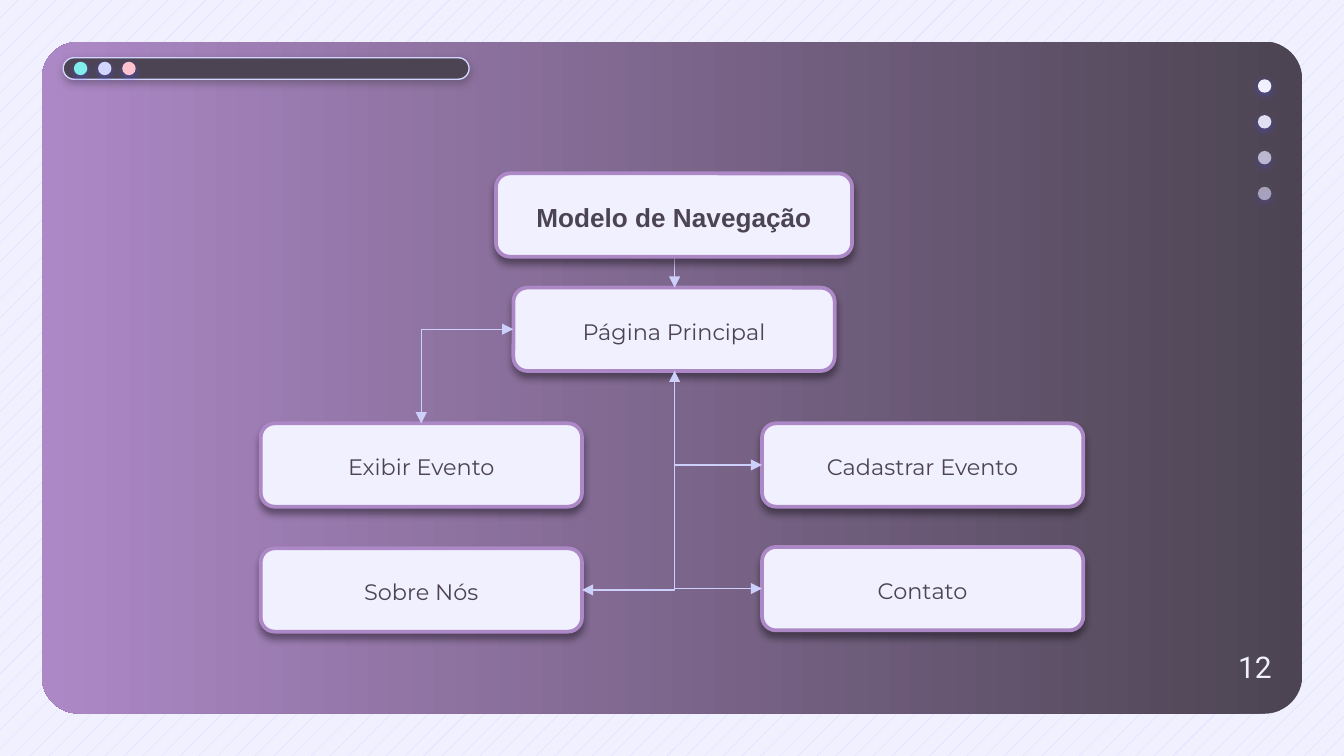
from lxml import etree
from pptx import Presentation
from pptx.dml.color import RGBColor
from pptx.enum import dml, shapes, text
from pptx.oxml import ns
from pptx.util import Inches, Pt

PURPLE = RGBColor(0xAD, 0x88, 0xC6)
DARK = RGBColor(0x4C, 0x44, 0x52)
PALE = RGBColor(0xF1, 0xF0, 0xFF)
LAVENDER = RGBColor(0xD2, 0xD6, 0xFF)
ARROW = RGBColor(0xCC, 0xD0, 0xFA)
TEAL = RGBColor(0x81, 0xEE, 0xEB)
PINK = RGBColor(0xFF, 0xC3, 0xD0)
INDIGO = RGBColor(0x53, 0x52, 0xEE)
BLACK = RGBColor(0, 0, 0)

ROUND = shapes.MSO_SHAPE.ROUNDED_RECTANGLE
OVAL = shapes.MSO_SHAPE.OVAL
BOX_W, BOX_H = 2.39, 0.62


def child(parent, tag, **attributes):
    return etree.SubElement(parent, ns.qn(tag), {k: str(v) for k, v in attributes.items()})


def add_panel(slide, kind, box, fill, line=None, shadow=None):
    panel = slide.shapes.add_shape(kind, *map(Inches, box))
    panel.shadow.inherit = False
    panel.fill.solid()
    panel.fill.fore_color.rgb = fill
    if line:
        panel.line.color.rgb, panel.line.width = line[0], Pt(line[1])
    else:
        panel.line.fill.background()
    if shadow:
        color, alpha, blur, distance = shadow
        effects = panel._element.spPr.find(ns.qn("a:effectLst"))
        outer = child(effects, "a:outerShdw", blurRad=Pt(blur), dist=Pt(distance),
                      dir=5400000, algn="bl", rotWithShape=0)
        child(child(outer, "a:srgbClr", val=color), "a:alpha", val=alpha * 1000)
    return panel


def write(frame, words, align, color, **font_values):
    frame.word_wrap = True
    paragraph = frame.paragraphs[0]
    paragraph.alignment = align
    run = paragraph.add_run()
    run.text = words
    run.font.color.rgb = color
    for name, value in font_values.items():
        setattr(run.font, name, value)
    return paragraph


def add_window(slide, left, top, width, height):
    window = add_panel(slide, ROUND, (left, top, width, height), DARK)
    window.adjustments[0] = 0.056
    window.fill.gradient()
    window.fill.gradient_angle = 180
    for stop, color, position in zip(window.fill.gradient_stops, (DARK, PURPLE), (0, 1)):
        stop.color.rgb, stop.position = color, position


def add_title_bar(slide, left, top, width, height):
    bar = add_panel(slide, ROUND, (left, top, width, height), DARK,
                    (LAVENDER, 0.75), (DARK, 50, 4.5, 1.5))
    bar.adjustments[0] = 0.5
    for i, color in enumerate((TEAL, LAVENDER, PINK)):
        add_panel(slide, OVAL, (left + 0.08 + 0.18 * i, top + 0.03, 0.1, 0.1), color,
                  shadow=(INDIGO, 50, 4.5, 1.5))


def add_side_dots(slide, left, top, height):
    alphas = (100, 90, 67, 54)
    gap = height / (len(alphas) - 1)
    for i, alpha in enumerate(alphas):
        dot = add_panel(slide, OVAL, (left, top + gap * i, 0.1, 0.1), PALE,
                        shadow=(INDIGO, 50, 4.5, 1.5))
        rgb = dot._element.spPr.find(ns.qn("a:solidFill")).find(ns.qn("a:srgbClr"))
        child(rgb, "a:alpha", val=alpha * 1000)


def add_page_box(slide, words, left, top, width=BOX_W, **font_values):
    page = add_panel(slide, ROUND, (left, top, width, BOX_H), PALE,
                     (PURPLE, 2), (BLACK, 40, 4, 3))
    page.text_frame.vertical_anchor = text.MSO_ANCHOR.MIDDLE
    font = {"name": "Montserrat", "size": Pt(12), **font_values}
    label = write(page.text_frame, words, text.PP_ALIGN.CENTER, DARK, **font)
    label.line_spacing, label.space_after = 1.15, Pt(8)


def add_arrow(slide, start, end, ends, bent=True):
    kind = shapes.MSO_CONNECTOR.ELBOW if bent else shapes.MSO_CONNECTOR.STRAIGHT
    arrow = slide.shapes.add_connector(kind, *map(Inches, start + end))
    arrow.line.color.rgb, arrow.line.width = ARROW, Pt(0.75)
    properties = arrow._element.spPr
    if bent:
        properties.find(ns.qn("a:prstGeom")).set("prst", "bentConnector2")
    for tag in ends:
        child(properties.find(ns.qn("a:ln")), tag, type="triangle")
    child(properties, "a:effectLst")


def add_navigation(slide, left, top):
    right = left + 3.73
    middle = left + 3.08
    home_left, home_top = left + 1.88, top + 0.85
    home_bottom = home_top + BOX_H
    row_1, row_2 = top + 1.86, top + 2.78
    half = BOX_H / 2
    for words, x, y in (("Página Principal", home_left, home_top),
                        ("Exibir Evento", left, row_1), ("Contato", right, row_2),
                        ("Cadastrar Evento", right, row_1), ("Sobre Nós", left, row_2 + 0.01)):
        add_page_box(slide, words, x, y)
    head, tail = "a:headEnd", "a:tailEnd"
    add_arrow(slide, (middle, top + BOX_H), (middle, home_top), [tail], bent=False)
    for start, end, ends in (
            ((right, row_1 + half), (middle, home_bottom), [head]),
            ((left + BOX_W, row_2 + half + 0.01), (middle, home_bottom + 0.05), [head]),
            ((right, row_2 + half), (middle, home_bottom), [head, tail]),
            ((home_left, home_top + half), (left + BOX_W / 2, row_1), [head, tail])):
        add_arrow(slide, start, end, ends)
    return left + 1.75, top


def add_page_number(slide, left, top, width, height):
    number = slide.shapes.add_textbox(*map(Inches, (left, top, width, height)))
    for side in ("left", "top", "right", "bottom"):
        setattr(number.text_frame, f"margin_{side}", Inches(0.1))
    write(number.text_frame, "12", text.PP_ALIGN.RIGHT, PALE, name="Roboto", size=Pt(16))


def main():
    deck = Presentation()
    deck.slide_width, deck.slide_height = Inches(10), Inches(10 * 9 / 16)
    slide = deck.slides.add_slide(deck.slide_layouts[6])
    backdrop = slide.background.fill
    backdrop.patterned()
    backdrop.pattern = dml.MSO_PATTERN.PERCENT_5
    backdrop.fore_color.rgb, backdrop.back_color.rgb = LAVENDER, PALE
    add_window(slide, 0.31, 0.31, 9.38, 5)
    add_title_bar(slide, 0.47, 0.43, 3.02, 0.16)
    add_side_dots(slide, 9.36, 0.59, 0.8)
    title_left, title_top = add_navigation(slide, 1.94, 1.29)
    add_page_number(slide, 9.02, 4.73, 0.54, 0.34)
    add_page_box(slide, "Modelo de Navegação", title_left, title_top, 2.65,
                 name="Arial", size=Pt(14), bold=True)
    deck.save("out.pptx")


if __name__ == "__main__":
    main()
